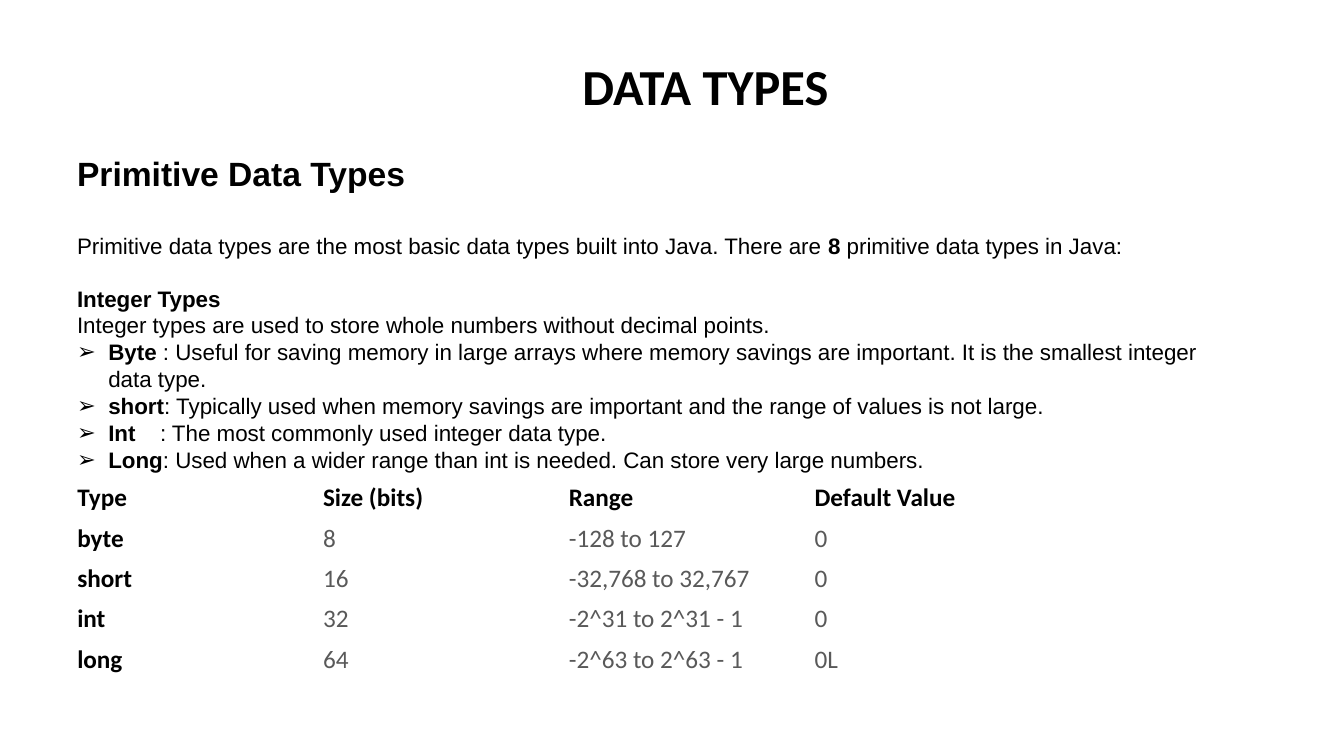
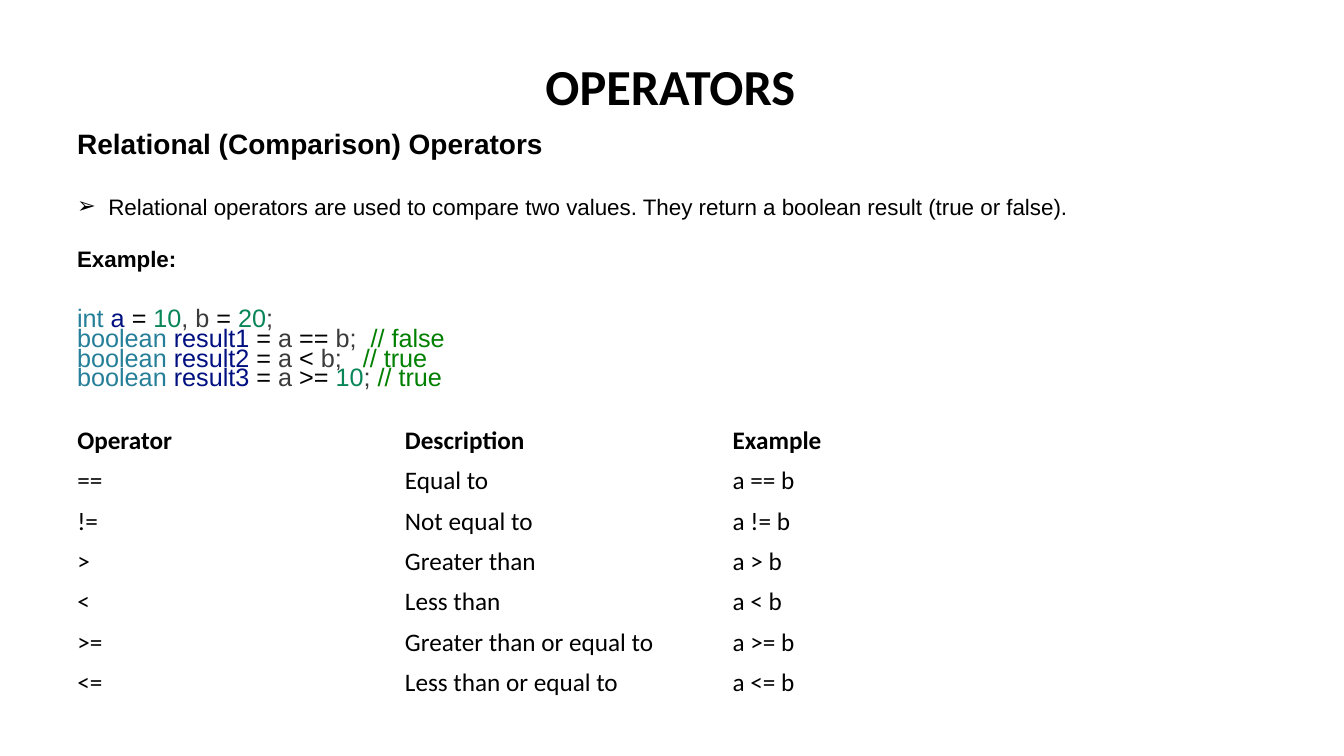
from dataclasses import dataclass
from lxml import etree
from pptx import Presentation
from pptx.dml.color import RGBColor
from pptx.enum.text import MSO_ANCHOR, MSO_AUTO_SIZE
from pptx.oxml.ns import qn
from pptx.util import Inches, Pt

MIDDLE = MSO_ANCHOR.MIDDLE
GROW = MSO_AUTO_SIZE.SHAPE_TO_FIT_TEXT
FIXED = MSO_AUTO_SIZE.NONE
PLAIN_GRID = "{2D5ABB26-0587-4C30-8999-92F81FD0307C}"


@dataclass(frozen=True)
class Theme:
    head: str = "Calibri"
    body: str = "Arial"
    ink: str = "000000"
    grey: str = "595959"
    kind: str = "267F99"
    name: str = "001080"
    num: str = "098658"
    code: str = "3B3B3B"
    note: str = "008000"
    title: int = 36
    large: int = 24
    medium: int = 20
    table: int = 18
    small: int = 16


T = Theme()
WIDE, HIGH = Inches(13.333), Inches(7.5)
COL, ROW = WIDE / 20, HIGH / 75
LEFT = 1
INDENT = Inches(0.31)


def cells(x, y, w, h):
    """Turn grid columns and rows into lengths."""
    return [int(v) for v in (x * COL, y * ROW, w * COL, h * ROW)]


def write(par, runs, font=T.body, size=T.small, color=T.ink, bold=False,
          before=0, line=None, bullet=False):
    """Fill a paragraph; each run is a text or a (text, format) pair."""
    par.space_before = Pt(before)
    if line:
        par.line_spacing = Pt(line)
    if bullet:
        props = par._p.get_or_add_pPr()
        props.set("marL", str(INDENT))
        props.set("indent", str(-INDENT))
        etree.SubElement(props, qn("a:buFont")).set("typeface", T.body)
        etree.SubElement(props, qn("a:buChar")).set("char", "➢")
    for item in [runs] if isinstance(runs, str) else runs:
        text, own = (item, {}) if isinstance(item, str) else item
        run = par.add_run()
        run.text = text
        run.font.name, run.font.size = font, Pt(size)
        run.font.bold = own.get("bold", bold)
        run.font.color.rgb = RGBColor.from_string(own.get("color", color))
        if "gap" in own:
            run._r.get_or_add_rPr().set("spc", str(own["gap"] * 100))


def panel(slide, box, pars, wrap=True, top=0.05):
    """Place a text box; each paragraph is (runs, format)."""
    frame = slide.shapes.add_textbox(*cells(*box)).text_frame
    frame.word_wrap = wrap
    frame.auto_size = FIXED if wrap else GROW
    frame.margin_top = Inches(top)
    for i, (runs, form) in enumerate(pars):
        par = frame.add_paragraph() if i else frame.paragraphs[0]
        write(par, runs, **form)


def title(slide, x, w, text):
    form = dict(font=T.head, size=T.title, bold=True)
    panel(slide, (x, 5, w, 7.1), [(text, form)], wrap=False)


def grid(slide, y, data, color=T.ink, lead=False):
    """Place a table without lines; lead makes the first column a heading."""
    rows, cols = len(data), len(data[0])
    box = cells(LEFT, y, 14.63, 4 * rows)
    table = slide.shapes.add_table(rows, cols, *box).table
    table.horz_banding = False
    table._tbl.tblPr.find(qn("a:tableStyleId")).text = PLAIN_GRID
    for r, line in enumerate(data):
        for c, text in enumerate(line):
            cell = table.cell(r, c)
            cell.fill.background()
            cell.vertical_anchor = MIDDLE
            main = r == 0 or (lead and c == 0)
            write(cell.text_frame.paragraphs[0], text, font=T.head,
                  size=T.table, bold=main, color=T.ink if main else color)


def strong(text):
    return text, dict(bold=True)


def tint(color, text):
    return text, dict(color=color)


def gap(points):
    """One space, widened by some points."""
    return " ", dict(gap=points)


def types(slide):
    title(slide, 8.52, 4, "DATA TYPES")
    point = dict(bullet=True)
    panel(slide, (LEFT, 12.1, 17.37, 41.4), [
        ("Primitive Data Types", dict(size=T.large, bold=True)),
        (["Primitive data types are the most basic data types built into "
          "Java. There are ", strong("8"),
          " primitive data types in Java:"], dict(before=27.6)),
        ("Integer Types", dict(bold=True, before=18.4)),
        ("Integer types are used to store whole numbers without decimal "
         "points.", {}),
        ([strong("Byte "), ": Useful for saving memory in large arrays where "
          "memory savings are important. It is the smallest integer data "
          "type."], point),
        ([strong("short"), ": Typically used when memory savings are "
          "important and the range of values is not large."], point),
        ([strong("Int"), gap(13),
          ": The most commonly used integer data type."], point),
        ([strong("Long"), ": Used when a wider range than int is needed. "
          "Can store very large numbers."], point),
    ], top=0.31)
    grid(slide, 47.4, [
        ("Type", "Size (bits)", "Range", "Default Value"),
        ("byte", "8", "-128 to 127", "0"),
        ("short", "16", "-32,768 to 32,767", "0"),
        ("int", "32", "-2^31 to 2^31 - 1", "0"),
        ("long", "64", "-2^63 to 2^63 - 1", "0L"),
    ], color=T.grey, lead=True)


def test(name, sign, right, space, note):
    """A coloured line of code that stores a comparison with a."""
    return [tint(T.kind, "boolean "), tint(T.name, name + " "), "=",
            tint(T.code, " a "), sign + " ", right, tint(T.code, ";"),
            gap(space), tint(T.note, "// " + note)]


def compare(slide):
    title(slide, 7.97, 4.07, "OPERATORS")
    ops = [("==", "Equal to"), ("!=", "Not equal to"),
           (">", "Greater than"), ("<", "Less than"),
           (">=", "Greater than or equal to"),
           ("<=", "Less than or equal to")]
    grid(slide, 41.7, [("Operator", "Description", "Example")]
         + [(op, text, f"a {op} b") for op, text in ops])
    panel(slide, (LEFT, 12.1, 18, 18.5), [
        ("Relational (Comparison) Operators",
         dict(size=T.medium, bold=True)),
        ("Relational operators are used to compare two values. They return "
         "a boolean result (true or false).", dict(before=23, bullet=True)),
        ("Example:", dict(before=18.4, bold=True)),
    ])
    b, ten = tint(T.code, "b"), tint(T.num, "10")
    lines = [
        [tint(T.kind, "int "), tint(T.name, "a "), "= ", ten,
         tint(T.code, ", b "), "= ", tint(T.num, "20"), tint(T.code, ";")],
        test("result1", "==", b, 5, "false"),
        test("result2", "<", b, 10, "true"),
        test("result3", ">=", ten, 0, "true"),
    ]
    form = dict(size=T.table, line=14.2)
    panel(slide, (LEFT, 30.5, 10, 12.9), [(line, form) for line in lines])


def main():
    deck = Presentation()
    deck.slide_width, deck.slide_height = WIDE, HIGH
    for draw in (types, compare):
        draw(deck.slides.add_slide(deck.slide_layouts[6]))
    deck.save("out.pptx")


if __name__ == "__main__":
    main()
